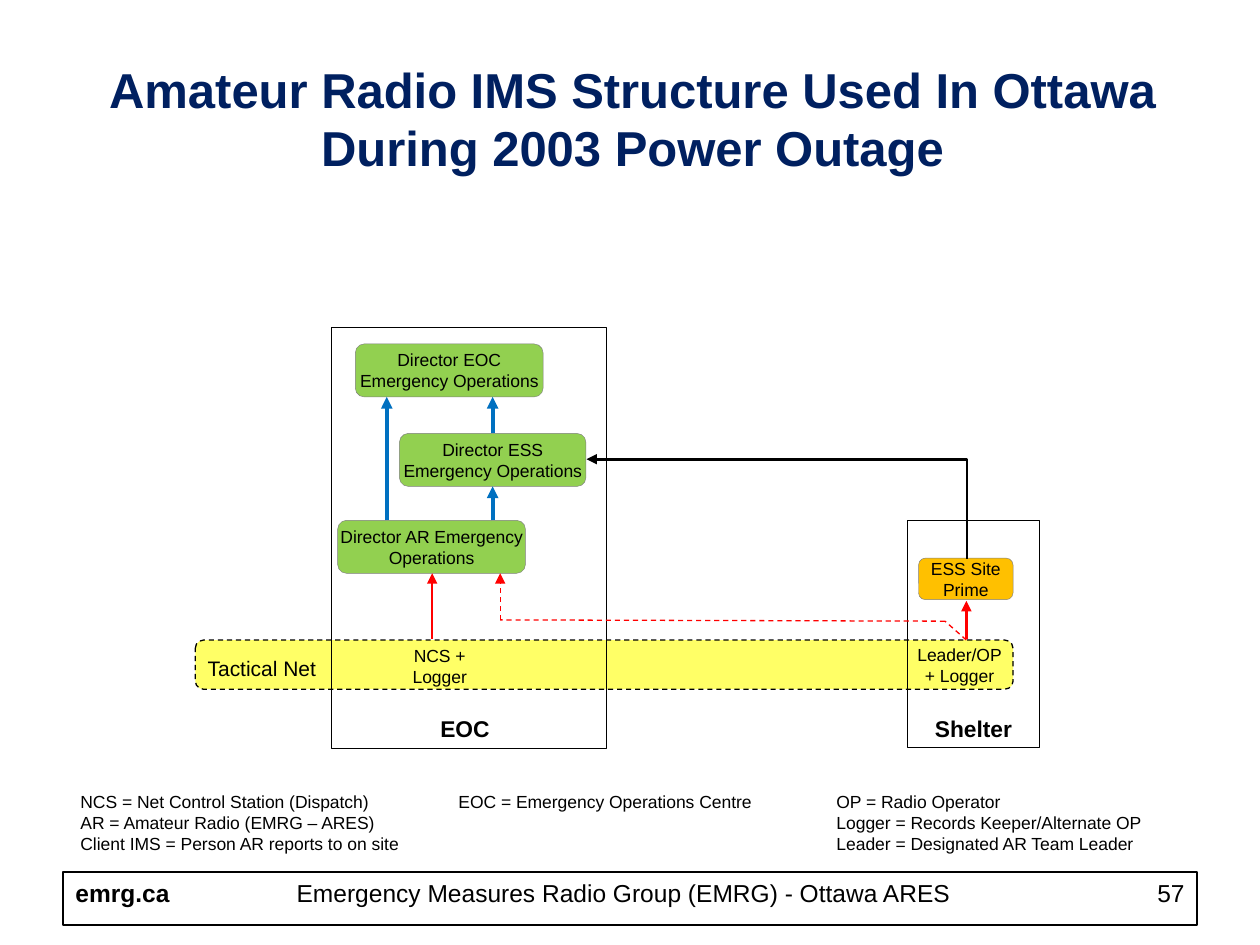
import pptx
import pptx.util
import pptx.dml.color
import pptx.enum.dml
import pptx.enum.shapes
import pptx.enum.text
import pptx.oxml
import pptx.oxml.ns

Inches, Pt = pptx.util.Inches, pptx.util.Pt
SHAPE = pptx.enum.shapes.MSO_SHAPE
CONNECTOR = pptx.enum.shapes.MSO_CONNECTOR
ALIGN = pptx.enum.text.PP_ALIGN
ANCHOR = pptx.enum.text.MSO_ANCHOR
DASH = pptx.enum.dml.MSO_LINE.DASH
BLACK, RED, BLUE, GREEN = "000000", "FF0000", "0070C0", "92D050"


def rgb(value):
    return pptx.dml.color.RGBColor.from_string(value)


def write(sp, text, size, align=ALIGN.CENTER, bold=False, color=BLACK,
          margins=(0.1, 0.05), anchor=ANCHOR.TOP):
    """Fill a shape with one paragraph per line; \\v is a line break."""
    tf = sp.text_frame
    side, edge = (Inches(m) for m in margins)
    layout = {"word_wrap": True, "vertical_anchor": anchor,
              "margin_left": side, "margin_right": side,
              "margin_top": edge, "margin_bottom": edge}
    for name, value in layout.items():
        setattr(tf, name, value)
    tf.text = text
    font = {"name": "Arial", "size": Pt(size), "bold": bold}
    for p in tf.paragraphs:
        p.alignment = align
        for r in p.runs:
            for name, value in font.items():
                setattr(r.font, name, value)
            r.font.color.rgb = rgb(color)


prs = pptx.Presentation()
prs.slide_width, prs.slide_height = Inches(10), Inches(7.5)
s = prs.slides.add_slide(prs.slide_layouts[6])

# Frames and boxes: place, preset, fill, line colour, line width, dash, text
thin = ("7F7F7F", 0.25, None)
boxes = [
    ((0.5, 6.92, 9, 0.42), SHAPE.RECTANGLE, None, BLACK, 1, None, ""),
    ((1.55, 5.08, 6.49, 0.39), SHAPE.ROUNDED_RECTANGLE, "FFFF66", BLACK, 0.75, DASH, ""),
    ((2.63, 2.6, 2.18, 3.34), SHAPE.RECTANGLE, None, BLACK, 0.5, None, ""),
    ((7.2, 4.13, 1.05, 1.8), SHAPE.RECTANGLE, None, BLACK, 0.5, None, ""),
    ((7.29, 4.43, 0.75, 0.33), SHAPE.ROUNDED_RECTANGLE, "FFC000", *thin,
     "ESS Site Prime"),
    ((3.17, 3.44, 1.48, 0.42), SHAPE.ROUNDED_RECTANGLE, GREEN, *thin,
     "Director ESS Emergency Operations"),
    ((2.82, 2.73, 1.49, 0.42), SHAPE.ROUNDED_RECTANGLE, GREEN, *thin,
     "Director EOC Emergency Operations"),
    ((2.68, 4.13, 1.49, 0.42), SHAPE.ROUNDED_RECTANGLE, GREEN, *thin,
     "Director AR Emergency Operations"),
]
for place, preset, fill, line, width, dash, text in boxes:
    sp = s.shapes.add_shape(preset, *map(Inches, place))
    sp.shadow.inherit = False
    if fill:
        sp.fill.solid()
        sp.fill.fore_color.rgb = rgb(fill)
    else:
        sp.fill.background()
    sp.line.color.rgb = rgb(line)
    sp.line.width = Pt(width)
    if dash:
        sp.line.dash_style = dash
    if text:
        write(sp, text, 10, margins=(0, 0), anchor=ANCHOR.MIDDLE)

# Reporting lines: from, to, colour, width, dash, arrowhead
lines = [
    ((3.91, 3.44), (3.91, 3.15), BLUE, 2.25, None, True),
    ((3.07, 4.13), (3.07, 3.15), BLUE, 2.25, None, True),
    ((3.91, 4.13), (3.91, 3.86), BLUE, 2.25, None, True),
    ((3.43, 5.07), (3.43, 4.55), RED, 1.5, None, True),
    ((7.67, 5.07), (7.67, 4.77), RED, 1.5, None, True),
    ((7.67, 5.08), (7.5, 4.93), RED, 0.75, DASH, False),
    ((7.5, 4.93), (3.97, 4.92), RED, 0.75, DASH, False),
    ((3.97, 4.92), (3.97, 4.55), RED, 0.75, DASH, True),
    # Unrotated frame of the elbow from the shelter to Director ESS
    ((5.77, 5.55), (6.56, 2.53), BLACK, 1.5, None, True),
]
for start, end, color, width, dash, arrow in lines:
    cx = s.shapes.add_connector(CONNECTOR.STRAIGHT, *map(Inches, start + end))
    cx.line.color.rgb = rgb(color)
    cx.line.width = Pt(width)
    if dash:
        cx.line.dash_style = dash
    if arrow:
        pptx.oxml.ns.qn("a:tailEnd")
        tail = cx.line._get_or_add_ln().makeelement(
            pptx.oxml.ns.qn("a:tailEnd"), {"type": "triangle"})
        cx.line._get_or_add_ln().append(tail)
    props = cx._element.spPr
    props.append(props.makeelement(pptx.oxml.ns.qn("a:effectLst"), {}))

# The last line turns one corner: up from the shelter, then left
props.find(pptx.oxml.ns.qn("a:prstGeom")).set("prst", "bentConnector2")
props.find(pptx.oxml.ns.qn("a:xfrm")).set("rot", str(270 * 60000))

# Text boxes: place, text, size, other formats
legend = ("NCS = Net Control Station (Dispatch)\tEOC = Emergency Operations Centre"
          "\tOP = Radio Operator\n"
          "AR = Amateur Radio (EMRG – ARES)\t\tLogger = Records Keeper/Alternate OP\n"
          "Client IMS = Person AR reports to on site\t\tLeader = Designated AR Team Leader")
left, flush = {"align": ALIGN.LEFT}, {"margins": (0, 0)}
texts = [
    ((0.54, 0.42, 8.96, 1.04),
     "Amateur Radio IMS Structure Used In Ottawa During 2003 Power Outage", 28,
     {"bold": True, "color": "002060"}),
    ((3.07, 5.12, 0.84, 0.34), "NCS +\vLogger", 10, flush),
    ((7.2, 5.11, 0.83, 0.34), "Leader/OP\v+ Logger", 10, flush),
    ((3.21, 5.62, 0.96, 0.32), "EOC", 13, {"bold": True}),
    ((7.2, 5.62, 1.05, 0.32), "Shelter", 13, {"bold": True}),
    ((1.55, 5.15, 1.07, 0.3), "Tactical Net", 12, left),
    ((0.5, 6.92, 1.01, 0.34), "emrg.ca", 14, {"bold": True, **left}),
    ((1.65, 6.92, 6.6, 0.43),
     "Emergency Measures Radio Group (EMRG) - Ottawa ARES", 14, {}),
    ((8.31, 6.92, 1.19, 0.43), "57", 14, {"align": ALIGN.RIGHT}),
    ((0.54, 6.23, 8.96, 0.6), legend, 10, left),
]
for place, text, size, formats in texts:
    sp = s.shapes.add_textbox(*map(Inches, place))
    write(sp, text, size, **formats)

# Legend columns
for p in sp.text_frame.paragraphs:
    pPr = p._p.get_or_add_pPr()
    tabs = pPr.makeelement(pptx.oxml.ns.qn("a:tabLst"), {})
    for stop in (3, 6):
        tabs.append(tabs.makeelement(pptx.oxml.ns.qn("a:tab"),
                                     {"pos": str(Inches(stop)), "algn": "l"}))
    pPr.append(tabs)

prs.save("out.pptx")
